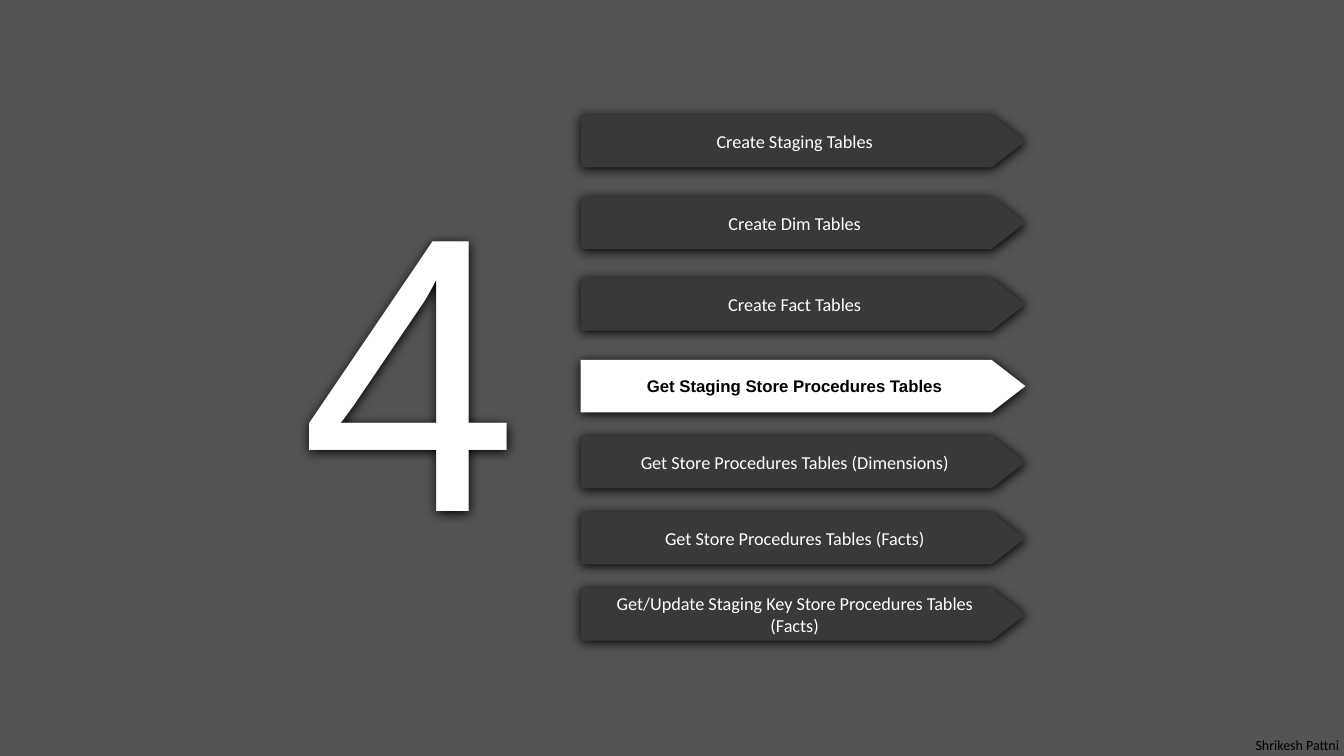
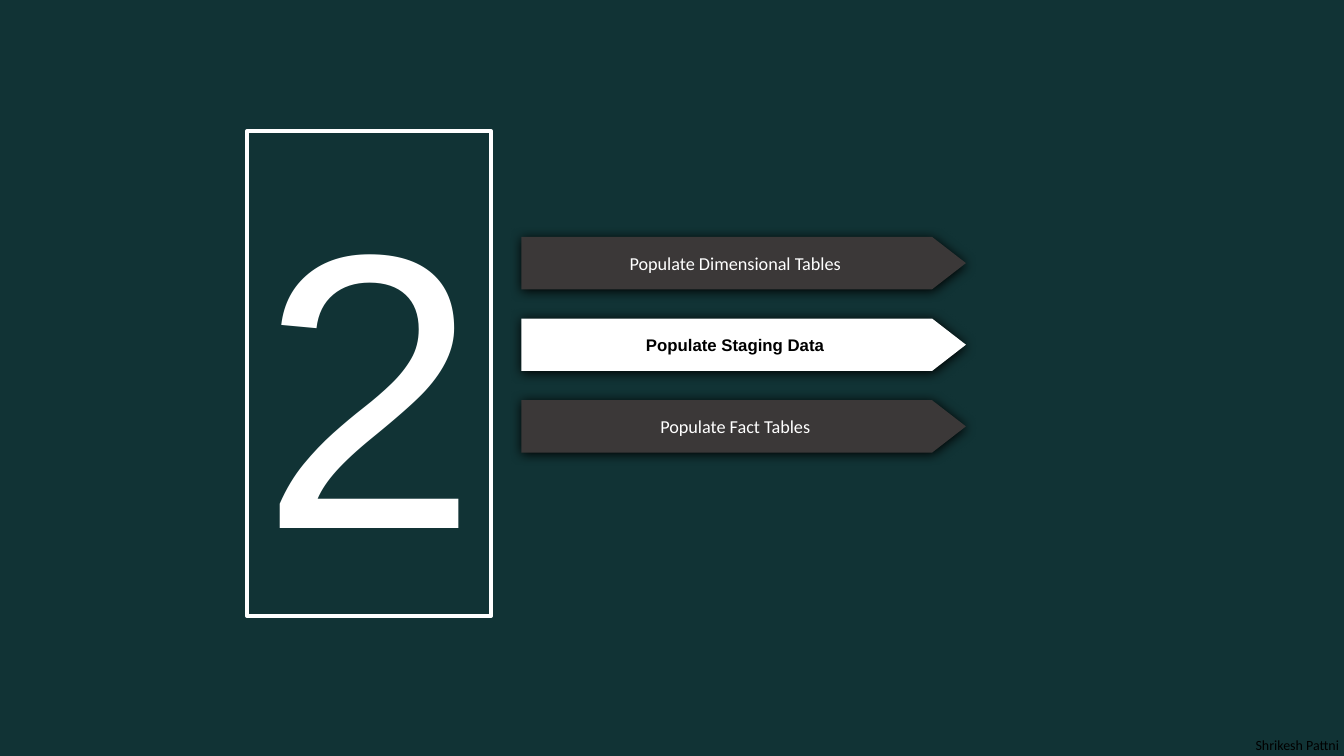
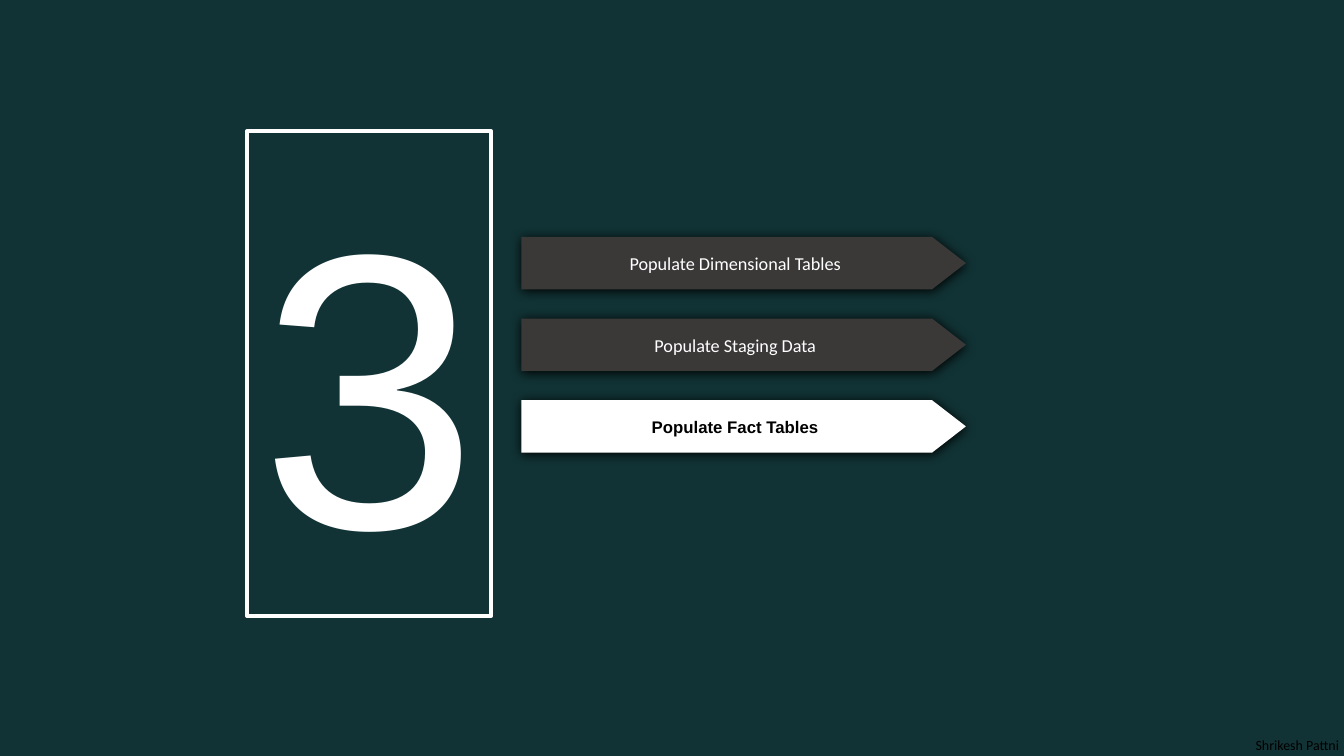
from itertools import accumulate
from lxml.etree import SubElement as Sub
from pptx import Presentation
from pptx.dml.color import RGBColor
from pptx.enum.shapes import MSO_SHAPE as Kind
from pptx.enum.text import MSO_ANCHOR as Anchor, PP_ALIGN as Align
from pptx.oxml.ns import qn
from pptx.util import Inches, Pt

WIDE, HIGH = 13.33, 7.5
GREY = RGBColor(0x54, 0x54, 0x54)
TEAL = RGBColor(0x11, 0x33, 0x35)
DARK = RGBColor(0x3B, 0x38, 0x38)
WHITE = RGBColor(0xFF, 0xFF, 0xFF)
BLACK = RGBColor(0, 0, 0)

DIGIT = (2.42, 4.81)
ARROW = (4.41, 0.52)
STEP, TIGHT = 0.81, 0.755

BUILD = ["Create Staging Tables", "Create Dim Tables", "Create Fact Tables",
         "Get Staging Store Procedures Tables",
         "Get Store Procedures Tables (Dimensions)",
         "Get Store Procedures Tables (Facts)",
         "Get/Update Staging Key Store Procedures Tables (Facts)"]
LOAD = ["Populate Dimensional Tables", "Populate Staging Data",
        "Populate Fact Tables"]


def write(shape, text, size, font, color, align, anchor, bold=False):
    frame = shape.text_frame
    frame.word_wrap = True
    frame.vertical_anchor = anchor
    para = frame.paragraphs[0]
    para.alignment = align
    run = para.add_run()
    run.text = text
    run.font.size = Pt(size)
    run.font.name = font
    run.font.bold = bold
    run.font.color.rgb = color


def shade(shape):
    """Give the shape a soft black shadow just below it."""
    shape.shadow.inherit = False
    effects = shape._element.spPr.find(qn("a:effectLst"))
    outer = Sub(effects, qn("a:outerShdw"), blurRad=str(Pt(8.5)),
                dist=str(Pt(1)), dir="5400000", algn="t", rotWithShape="0")
    Sub(outer, qn("a:srgbClr"), val=str(BLACK))


def add_arrow(slide, box, text, active):
    arrow = slide.shapes.add_shape(Kind.PENTAGON, *map(Inches, box))
    arrow.adjustments[0] = 0.645
    arrow.fill.solid()
    arrow.fill.fore_color.rgb = WHITE if active else DARK
    arrow.line.fill.background()
    shade(arrow)
    look = (12, "Arial", BLACK) if active else (13, "Calibri", WHITE)
    write(arrow, text, *look, Align.CENTER, Anchor.MIDDLE, active)


def add_steps(slide, left, top, steps, number, gaps):
    """Stack the arrows downwards, with the numbered one lit."""
    tops = accumulate(gaps, initial=top)
    for index, (text, y) in enumerate(zip(steps, tops), 1):
        add_arrow(slide, (left, y, *ARROW), text, index == number)


def add_digit(slide, left, top, number, framed):
    box = map(Inches, (left, top, *DIGIT))
    if framed:
        digit = slide.shapes.add_shape(Kind.RECTANGLE, *box)
        digit.fill.background()
        digit.line.color.rgb = WHITE
        digit.line.width = Pt(3)
        digit.shadow.inherit = False
    else:
        digit = slide.shapes.add_textbox(*box)
        shade(digit)
    align = Align.CENTER if framed else Align.LEFT
    write(digit, str(number), 280, "Arial", WHITE, align, Anchor.TOP)


def add_foot(slide):
    wide, high = 1.31, 0.24
    box = (WIDE - wide, HIGH - high, wide, high)
    foot = slide.shapes.add_textbox(*map(Inches, box))
    foot.text_frame.margin_right = Inches(0.05)
    write(foot, "Shrikesh Pattni", 10, "Calibri", BLACK,
          Align.RIGHT, Anchor.TOP)


def add_slide(deck, back):
    slide = deck.slides.add_slide(deck.slide_layouts[6])
    slide.background.fill.solid()
    slide.background.fill.fore_color.rgb = back
    add_foot(slide)
    return slide


def add_build(deck, number):
    slide = add_slide(deck, GREY)
    add_digit(slide, 2.88, 1.14, number, False)
    add_steps(slide, 5.76, 1.14, BUILD, number, [STEP] * 3 + [TIGHT] * 3)


def add_load(deck, number):
    slide = add_slide(deck, TEAL)
    add_digit(slide, 2.45, 1.3, number, True)
    add_steps(slide, 5.17, 2.35, LOAD, number, [STEP] * 2)


def main():
    deck = Presentation()
    deck.slide_width, deck.slide_height = Inches(WIDE), Inches(HIGH)
    add_build(deck, 4)
    for number in (2, 3):
        add_load(deck, number)
    deck.save("out.pptx")


if __name__ == "__main__":
    main()
